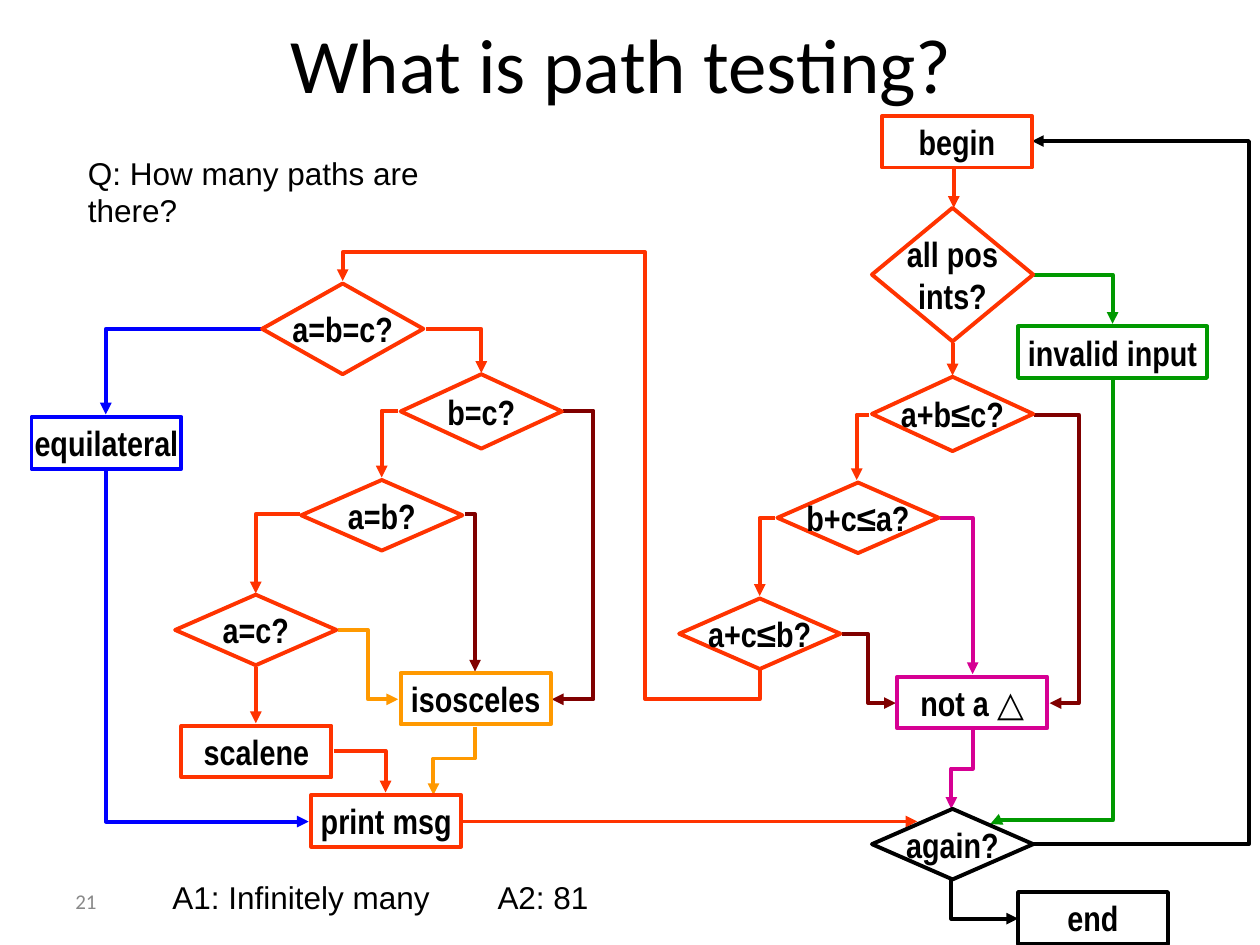
"""Build the path testing flowchart slide."""
from dataclasses import dataclass

from lxml.etree import SubElement
from pptx import Presentation
from pptx.dml.color import RGBColor
from pptx.enum.shapes import MSO_CONNECTOR, MSO_SHAPE
from pptx.enum.text import MSO_ANCHOR, PP_ALIGN
from pptx.oxml.ns import qn
from pptx.util import Inches, Pt


@dataclass(frozen=True)
class Theme:
    """Colours, fonts and type sizes."""
    black: str = "000000"
    white: str = "FFFFFF"
    grey: str = "898989"
    red: str = "FF3300"
    blue: str = "0000FF"
    maroon: str = "800000"
    orange: str = "FF9900"
    green: str = "009900"
    magenta: str = "D60093"
    title_font: str = "Calibri"
    node_font: str = "Arial Narrow"
    note_font: str = "Arial"
    title_size: int = 44
    node_size: int = 20
    note_size: int = 18
    number_size: int = 12
    line: float = 2.25


T = Theme()


@dataclass(frozen=True)
class Box:
    """A rectangular step."""
    text: str
    x: float
    y: float
    color: str = T.red
    w: float = 1.19
    h: float = 0.41
    shape: MSO_SHAPE = MSO_SHAPE.RECTANGLE


@dataclass(frozen=True)
class Test(Box):
    """A diamond decision."""
    w: float = 1.28
    h: float = 0.56
    shape: MSO_SHAPE = MSO_SHAPE.DIAMOND


@dataclass(frozen=True)
class Route:
    """An arrow whose turns alternate between x and y, starting on axis."""
    color: str
    x: float
    y: float
    axis: str
    turns: tuple[float, ...]

    def points(self) -> list[tuple[float, float]]:
        """Return every corner from start to end."""
        pts = [(self.x, self.y)]
        for i, v in enumerate(self.turns):
            x, y = pts[-1]
            pts.append((v, y) if (i % 2 == 0) == (self.axis == "x") else (x, v))
        return pts


@dataclass(frozen=True)
class Note:
    """A line of free text."""
    text: str
    x: float
    y: float
    w: float
    font: str = T.note_font
    size: int = T.note_size
    color: str = T.black
    anchor: MSO_ANCHOR = MSO_ANCHOR.TOP


NODES = [
    Test("a=b=c?", 2.08, 2.25, h=0.72),
    Test("b=c?", 3.18, 2.97, h=0.59),
    Test("a=b?", 2.39, 3.81),
    Test("a=c?", 1.39, 4.72),
    Box("equilateral", 0.25, 3.31, T.blue),
    Box("scalene", 1.44, 5.76),
    Box("isosceles", 3.18, 5.34, T.orange),
    Box("print msg", 2.47, 6.31),
    Box("begin", 7, 0.92),
    Test("all pos\vints?", 6.92, 1.65, h=1.06),
    Box("invalid input", 8.08, 2.59, T.green, w=1.5),
    Test("a+b≤c?", 6.92, 2.99, h=0.59),
    Test("b+c≤a?", 6.17, 3.83),
    Test("a+c≤b?", 5.39, 4.75),
    Box("not a △", 7.12, 5.37, T.magenta),
    Test("again?", 6.92, 6.42, T.black),
    Box("end", 8.08, 7.08, T.black),
]

ROUTES = [
    Route(T.blue, 2.07, 2.61, "x", (0.84, 3.29)),
    Route(T.blue, 0.84, 3.74, "y", (6.52, 2.45)),
    Route(T.red, 3.38, 2.61, "x", (3.82, 2.96)),
    Route(T.red, 3.16, 3.26, "x", (3.03, 3.79)),
    Route(T.maroon, 4.47, 3.26, "x", (4.71, 5.55, 4.38)),
    Route(T.red, 2.38, 4.08, "x", (2.03, 4.71)),
    Route(T.maroon, 3.69, 4.08, "x", (3.77, 5.33)),
    Route(T.red, 2.03, 5.29, "y", (5.74,)),
    Route(T.red, 2.65, 5.96, "x", (3.06, 6.29)),
    Route(T.orange, 3.77, 5.77, "y", (6.02, 3.44, 6.31)),
    Route(T.orange, 2.68, 5, "x", (2.92, 5.55, 3.16)),
    Route(T.red, 6.03, 5.32, "y", (5.55, 5.12, 2, 2.72, 2.23)),
    Route(T.red, 7.57, 1.34, "y", (1.65,)),
    Route(T.green, 8.21, 2.18, "x", (8.83, 2.57)),
    Route(T.red, 7.56, 2.72, "y", (2.98,)),
    Route(T.red, 6.9, 3.29, "x", (6.8, 3.81)),
    Route(T.maroon, 8.21, 3.29, "x", (8.56, 5.58, 8.33)),
    Route(T.red, 6.15, 4.11, "x", (6.03, 4.73)),
    Route(T.magenta, 7.46, 4.11, "x", (7.72, 5.35)),
    Route(T.maroon, 6.68, 5.03, "x", (6.89, 5.58, 7.11)),
    Route(T.green, 8.83, 3, "y", (6.51, 7.86, 6.54)),
    Route(T.magenta, 7.72, 5.78, "y", (6.1, 7.55, 6.42)),
    Route(T.red, 3.65, 6.52, "x", (7.28,)),
    Route(T.black, 8.2, 6.7, "x", (9.94, 1.12, 8.19)),
    Route(T.black, 7.55, 6.97, "y", (7.29, 8.08)),
]

NOTES = [
    Note("Q: How many paths are there?", 0.6, 1.17, 3.6),
    Note("A1: Infinitely many", 1.27, 6.92, 2.24),
    Note("A2: 81", 3.85, 6.92, 0.92),
    Note("21", 0.5, 6.95, 2.33, T.title_font, T.number_size, T.grey, MSO_ANCHOR.MIDDLE),
]


def style(font, name: str, size: int, color: str, bold: bool = False) -> None:
    """Set a font's face, size, colour and weight."""
    font.name, font.size, font.bold = name, Pt(size), bold
    font.color.rgb = RGBColor.from_string(color)


def draw_node(s, node: Box) -> None:
    """Draw a step or a decision with its label."""
    sp = s.shapes.add_shape(node.shape, *map(Inches, (node.x, node.y, node.w, node.h)))
    sp.shadow.inherit = False
    sp.fill.solid()
    sp.fill.fore_color.rgb = RGBColor.from_string(T.white)
    sp.line.color.rgb = RGBColor.from_string(node.color)
    sp.line.width = Pt(T.line)
    tf = sp.text_frame
    tf.word_wrap = False
    tf.vertical_anchor = MSO_ANCHOR.MIDDLE
    p = tf.paragraphs[0]
    p.alignment = PP_ALIGN.CENTER
    label, sign, _ = node.text.partition("△")
    p.text = label
    style(p.font, T.node_font, T.node_size, T.black, True)
    if sign:
        r = p.add_run()
        r.text = sign
        r.font.name = T.note_font


def draw_route(s, route: Route) -> None:
    """Draw a straight or bent arrow along the route's corners."""
    pts = route.points()
    (x1, y1), (x2, y2) = pts[0], pts[-1]
    bent, turned = len(pts) > 2, route.axis == "y"
    ends = (x1, y1, x2, y2)
    if bent and turned:
        cx, cy, dx, dy = (x1 + x2) / 2, (y1 + y2) / 2, (x2 - x1) / 2, (y2 - y1) / 2
        ends = (cx - dy, cy + dx, cx + dy, cy - dx)
    kind = MSO_CONNECTOR.ELBOW if bent else MSO_CONNECTOR.STRAIGHT
    c = s.shapes.add_connector(kind, *map(Inches, ends))
    c.line.color.rgb = RGBColor.from_string(route.color)
    c.line.width = Pt(T.line)
    pr = c._element.spPr
    SubElement(c.line._get_or_add_ln(), qn("a:tailEnd"), type="triangle")
    SubElement(pr, qn("a:effectLst"))
    if not bent:
        return
    if turned:
        pr.find(qn("a:xfrm")).set("rot", "5400000")
    geom = pr.find(qn("a:prstGeom"))
    geom.set("prst", f"bentConnector{len(route.turns)}")
    av = geom.find(qn("a:avLst"))
    for i in range(1, len(pts) - 2):
        k = (i - 1 + turned) % 2
        share = (pts[i][k] - pts[0][k]) / (pts[-1][k] - pts[0][k])
        SubElement(av, qn("a:gd"), name=f"adj{i}", fmla=f"val {round(share * 100000)}")


def draw_note(s, note: Note) -> None:
    """Draw a line of free text."""
    tf = s.shapes.add_textbox(*map(Inches, (note.x, note.y, note.w, 0.4))).text_frame
    tf.word_wrap = False
    tf.vertical_anchor = note.anchor
    p = tf.paragraphs[0]
    p.text = note.text
    style(p.font, note.font, note.size, note.color)


def main() -> None:
    """Build and save the slide."""
    prs = Presentation()
    prs.slide_width, prs.slide_height = Inches(10), Inches(7.5)
    s = prs.slides.add_slide(prs.slide_layouts[5])
    title = s.shapes.title
    title.left, title.top, title.width, title.height = map(Inches, (0.25, 0.08, 9.5, 0.83))
    p = title.text_frame.paragraphs[0]
    p.text = "What is path testing? "
    p.alignment = PP_ALIGN.CENTER
    style(p.font, T.title_font, T.title_size, T.black)
    for draw, items in ((draw_route, ROUTES), (draw_node, NODES), (draw_note, NOTES)):
        for item in items:
            draw(s, item)


    prs.save("out.pptx")


if __name__ == "__main__":
    main()
